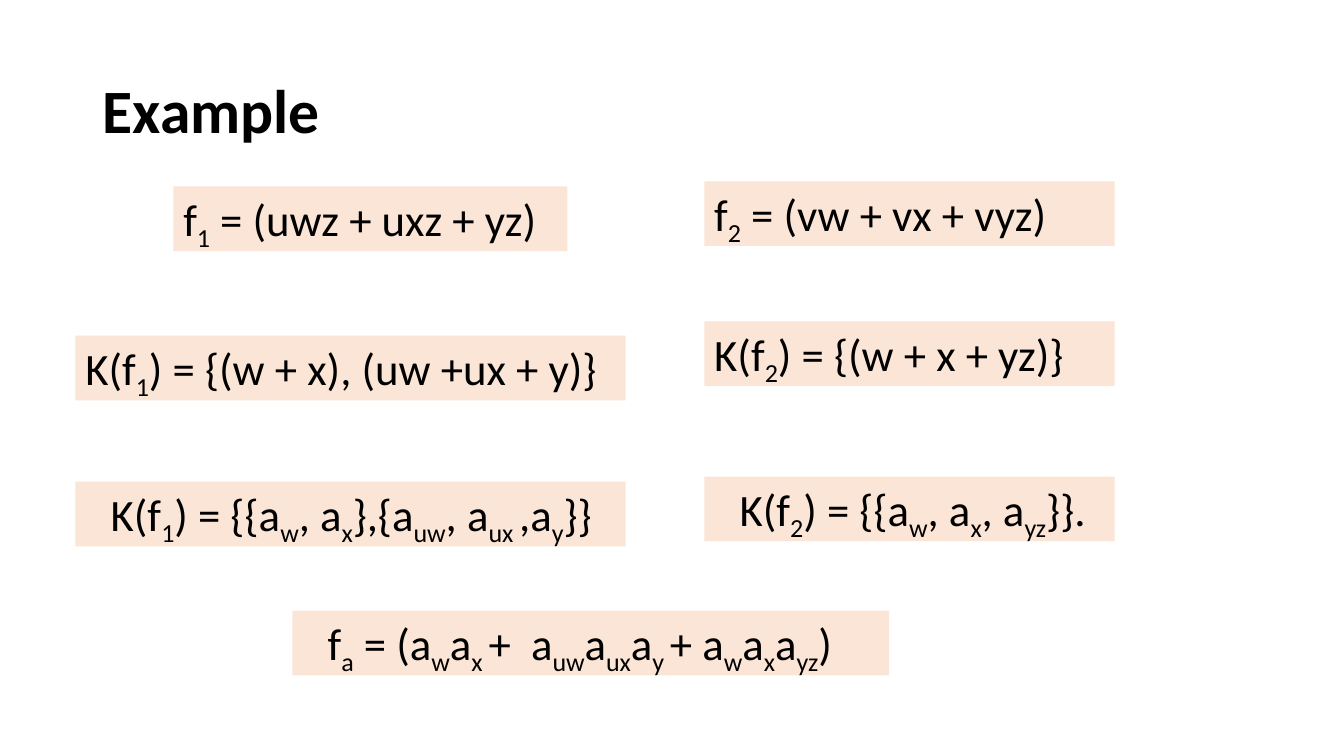
"""Build the kernel example slide: cube sums, kernels and the auxiliary function."""
from dataclasses import dataclass

from pptx import Presentation
from pptx import util as u
from pptx.dml.color import RGBColor
from pptx.enum import text
from pptx.slide import Slide
from pptx.text.text import TextFrame


@dataclass(frozen=True)
class Theme:
    font: str = "Calibri"
    ink: RGBColor = RGBColor(0x00, 0x00, 0x00)
    panel: RGBColor = RGBColor(0xFB, 0xE5, 0xD6)
    title_size: u.Pt = u.Pt(44)
    formula_size: u.Pt = u.Pt(32)


@dataclass(frozen=True)
class Formula:
    left: float
    top: float
    width: float
    markup: str
    indented: bool = False


THEME = Theme()
FORMULA_HEIGHT = 1.63
WIDE, NARROW = 13.87, 10.34
LEFT_COL, RIGHT_COL = 1.9, 17.75
FORMULAS = [
    Formula(4.37, 4.7, 9.93, "f_1_ = (uwz + uxz + yz)"),
    Formula(RIGHT_COL, 4.57, NARROW, "f_2_ = (vw + vx + vyz)"),
    Formula(LEFT_COL, 8.46, WIDE, "K(f_1_) = {(w + x), (uw +ux + y)}"),
    Formula(RIGHT_COL, 8.1, NARROW, "K(f_2_) = {(w + x + yz)}"),
    Formula(LEFT_COL, 12.14, WIDE,
            "K(f_1_) = {{a_w_, a_x_},{a_uw_, a_ux _,a_y_}}", True),
    Formula(RIGHT_COL, 12.01, NARROW, "K(f_2_) = {{a_w_, a_x_, a_yz_}}.", True),
    Formula(7.37, 15.39, 15.04,
            "f_a_ = (a_w_a_x _+  a_uw_a_ux_a_y _+ a_w_a_x_a_yz_)", True),
]


def set_attrs(target: object, values: dict) -> None:
    """Set every named value on the target."""
    for name, value in values.items():
        setattr(target, name, value)


def add_runs(tf: TextFrame, markup: str, size: u.Pt, bold: bool = False) -> None:
    """Write runs into the first paragraph, with _underscored_ parts lowered."""
    for i, part in enumerate(markup.split("_")):
        r = tf.paragraphs[0].add_run()
        r.text = part
        set_attrs(r.font, {"name": THEME.font, "size": size, "bold": bold})
        r.font.color.rgb = THEME.ink
        if i % 2:
            r._r.get_or_add_rPr().set("baseline", "-25000")


def add_title(s: Slide, title: str) -> None:
    """Place and fill the title placeholder."""
    sp = s.shapes.title
    set_attrs(sp, {"left": u.Cm(2.34), "top": u.Cm(1.02),
                   "width": u.Cm(29.21), "height": u.Cm(3.68)})
    tf = sp.text_frame
    tf.vertical_anchor = text.MSO_ANCHOR.MIDDLE
    set_attrs(tf.paragraphs[0], {"alignment": text.PP_ALIGN.LEFT, "line_spacing": 0.9})
    add_runs(tf, title, THEME.title_size, bold=True)


def add_formula(s: Slide, formula: Formula) -> None:
    """Draw one formula on its tinted panel."""
    sp = s.shapes.add_textbox(u.Cm(formula.left), u.Cm(formula.top),
                              u.Cm(formula.width), u.Cm(FORMULA_HEIGHT))
    sp.fill.solid()
    sp.fill.fore_color.rgb = THEME.panel
    tf = sp.text_frame
    set_attrs(tf, {"word_wrap": True, "auto_size": text.MSO_AUTO_SIZE.SHAPE_TO_FIT_TEXT})
    p = tf.paragraphs[0]
    if formula.indented:
        p.space_before = u.Pt(10)
        p._p.get_or_add_pPr().set("marL", str(u.Cm(0.64)))
    else:
        p.alignment = text.PP_ALIGN.JUSTIFY
    add_runs(tf, formula.markup, THEME.formula_size)


def main() -> None:
    """Build and save the slide."""
    prs = Presentation()
    set_attrs(prs, {"slide_width": u.Cm(33.87), "slide_height": u.Cm(19.05)})
    s = prs.slides.add_slide(prs.slide_layouts[5])
    add_title(s, "Example")
    for formula in FORMULAS:
        add_formula(s, formula)
    prs.save("out.pptx")


if __name__ == "__main__":
    main()
